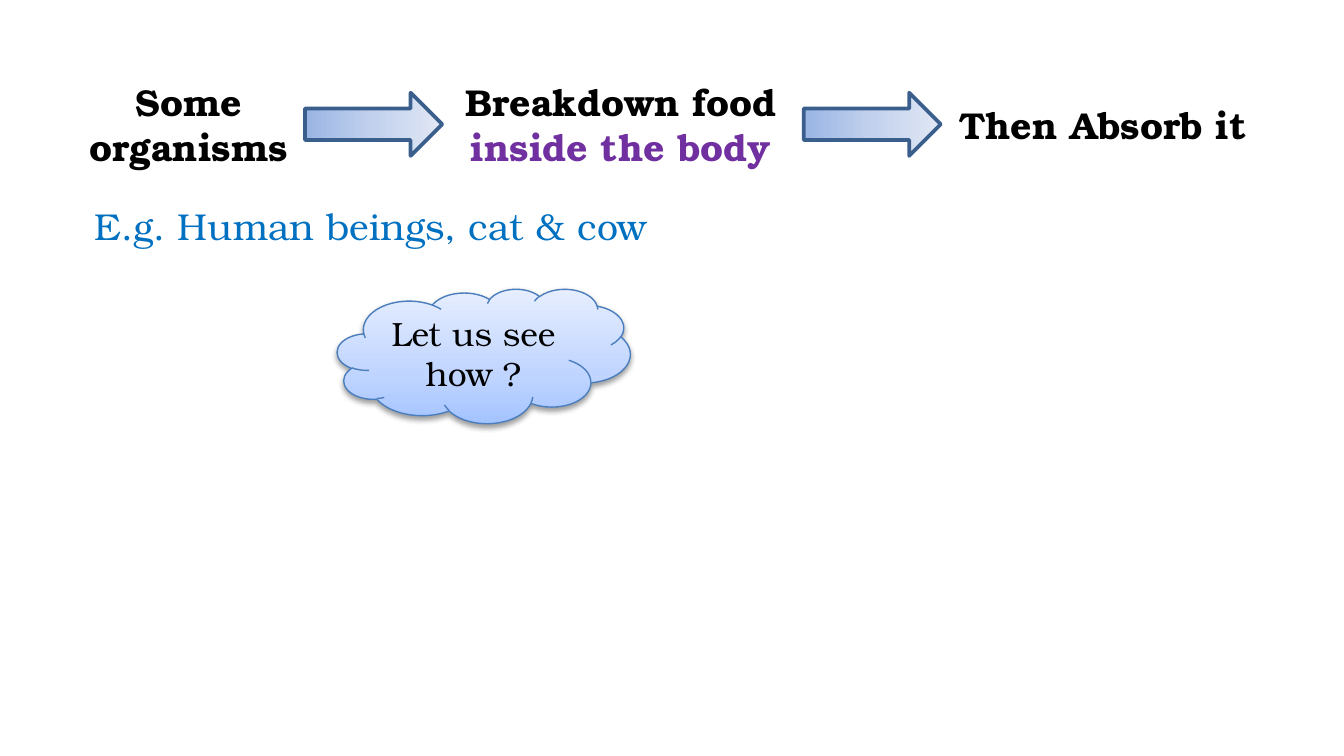
from dataclasses import dataclass

from lxml.etree import SubElement
from pptx import Presentation
from pptx.dml.color import RGBColor
from pptx.enum.shapes import MSO_SHAPE as Preset
from pptx.enum.text import MSO_ANCHOR as Anchor, MSO_AUTO_SIZE as AutoSize, PP_ALIGN as Align
from pptx.oxml.ns import qn
from pptx.util import Inches, Pt


@dataclass(frozen=True)
class Theme:
    font: str = "TeX Gyre Bonum"
    text_size: int = 20
    cloud_size: int = 18
    ink: str = "000000"
    accent: str = "7030A0"
    example: str = "0070C0"
    arrow_line: str = "3A5F8C"
    arrow_stops: tuple = ((0, "9AB5E4"), (50, "C2D1ED"), (100, "E1E8F5"))
    cloud_line: str = "4B7EBC"
    cloud_stops: tuple = ((0, "A4C4FF"), (35, "BFD4FF"), (100, "E6EEFF"))


THEME = Theme()


def write(frame, *lines, size=THEME.text_size, colors=(THEME.ink,), bold=False, wrap=True):
    """Fill the frame with centred lines; the last colour serves any further lines."""
    frame.word_wrap = wrap
    for index, line in enumerate(lines):
        paragraph = frame.paragraphs[0] if index == 0 else frame.add_paragraph()
        paragraph.alignment = Align.CENTER
        run = paragraph.add_run()
        run.text = line
        run.font.name = THEME.font
        run.font.size = Pt(size)
        run.font.bold = bold
        run.font.color.rgb = RGBColor.from_string(colors[min(index, len(colors) - 1)])


def add_label(slide, box, *lines, **text_format):
    frame = slide.shapes.add_textbox(*map(Inches, box)).text_frame
    write(frame, *lines, **text_format)
    frame.auto_size = AutoSize.SHAPE_TO_FIT_TEXT


def add_gradient_shape(slide, preset, box, stops, angle, line_color, line_width):
    """Add a preset shape; the gradient angle runs counter-clockwise."""
    shape = slide.shapes.add_shape(preset, *map(Inches, box))
    shape.fill.gradient()
    shape.fill.gradient_angle = angle
    stop_list = next(shape._element.spPr.iter(qn("a:gsLst")))
    stop_list.clear()
    for position, color in stops:
        stop = SubElement(stop_list, qn("a:gs"), pos=str(position * 1000))
        SubElement(stop, qn("a:srgbClr"), val=color)
    shape.line.color.rgb = RGBColor.from_string(line_color)
    shape.line.width = Pt(line_width)
    shape.shadow.inherit = False
    return shape


def add_soft_shadow(shape, blur, distance, opacity):
    effects = shape._element.spPr.find(qn("a:effectLst"))
    shadow = SubElement(effects, qn("a:outerShdw"), blurRad=str(Pt(blur)),
                        dist=str(Pt(distance)), dir="5400000", rotWithShape="0")
    color = SubElement(shadow, qn("a:srgbClr"), val=THEME.ink)
    SubElement(color, qn("a:alpha"), val=str(opacity * 1000))


def add_process(slide, left, top):
    """Place the three steps and the arrows between them."""
    add_label(slide, (left, top, 1.75, 0.77), "Some organisms", bold=True)
    add_label(slide, (left + 2.82, top, 2.54, 0.77), "Breakdown food", "inside the body",
              colors=(THEME.ink, THEME.accent), bold=True, wrap=False)
    add_label(slide, (left + 6.5, top + 0.17, 2.35, 0.44), "Then Absorb it",
              bold=True, wrap=False)
    for offset in (1.74, 5.45):
        add_gradient_shape(slide, Preset.RIGHT_ARROW, (left + offset, top + 0.15, 1.02, 0.47),
                           THEME.arrow_stops, 0, THEME.arrow_line, 2)


def add_question_cloud(slide, box):
    cloud = add_gradient_shape(slide, Preset.CLOUD, box, THEME.cloud_stops, 90,
                               THEME.cloud_line, 0.75)
    add_soft_shadow(cloud, blur=3.1, distance=1.6, opacity=38)
    cloud.text_frame.vertical_anchor = Anchor.MIDDLE
    write(cloud.text_frame, "Let us see how ?", size=THEME.cloud_size)


def main():
    deck = Presentation()
    deck.slide_width = Inches(10)
    deck.slide_height = Inches(10 * 9 / 16)
    slide = deck.slides.add_slide(deck.slide_layouts[6])
    add_process(slide, left=0.53, top=0.54)
    add_label(slide, (0.56, 1.46, 4.4, 0.44), "E.g. Human beings, cat & cow",
              colors=(THEME.example,))
    add_question_cloud(slide, (2.51, 2.15, 2.18, 1))
    deck.save("out.pptx")


if __name__ == "__main__":
    main()
